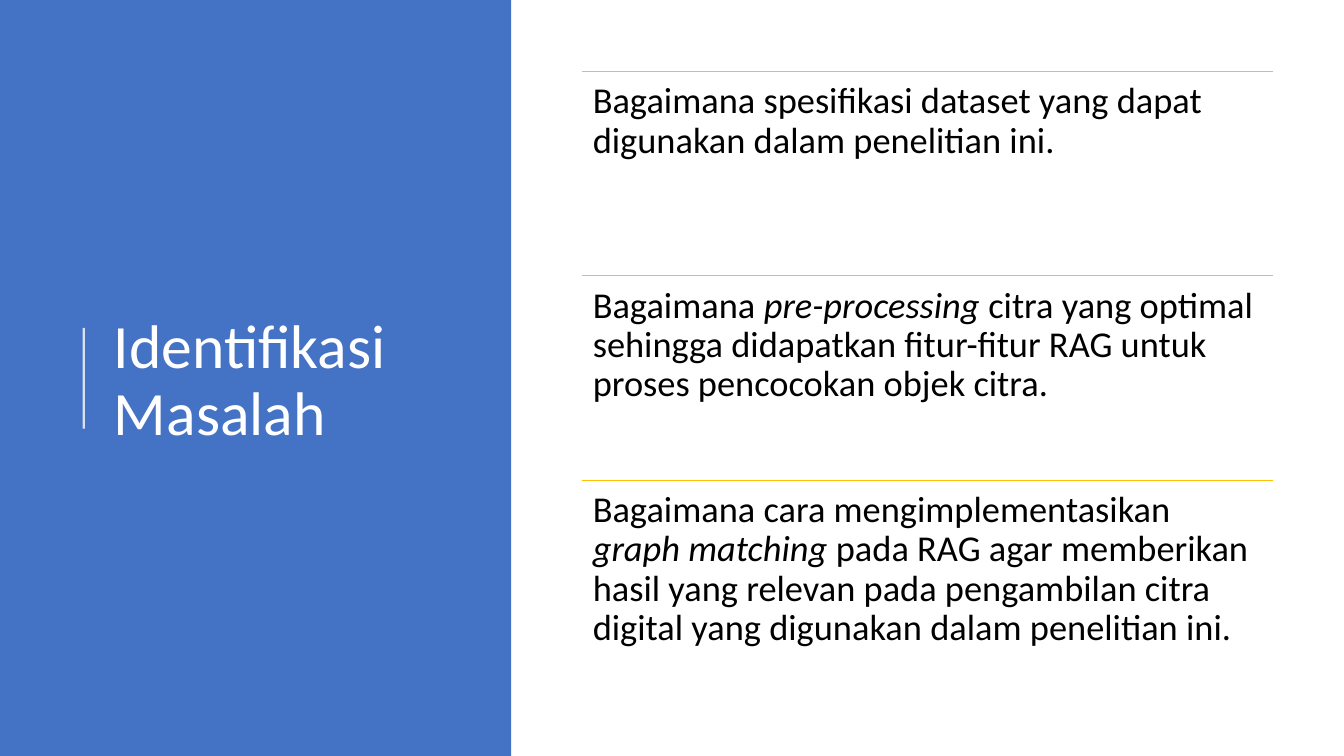
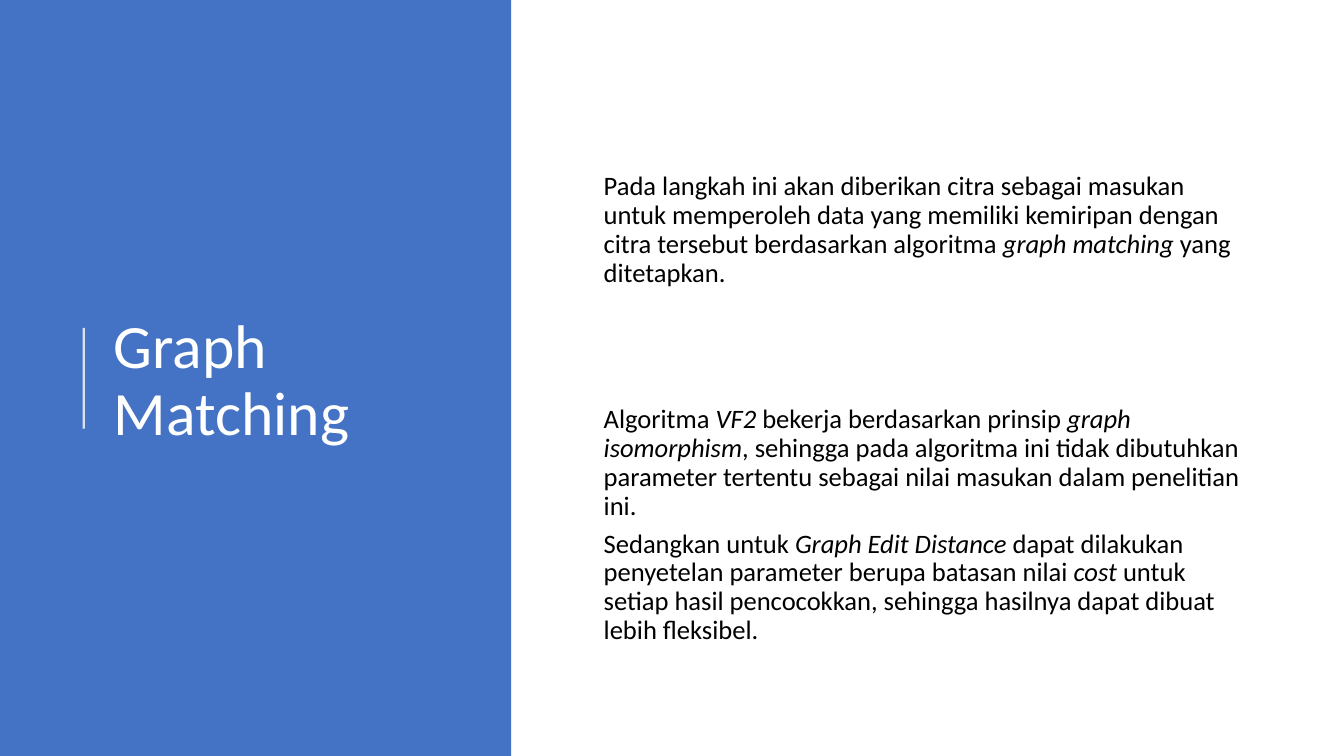
from dataclasses import dataclass

from lxml import etree
from pptx import Presentation
from pptx.dml.color import RGBColor
from pptx.enum.shapes import MSO_CONNECTOR, MSO_SHAPE
from pptx.enum.text import MSO_ANCHOR, PP_ALIGN
from pptx.oxml.ns import qn
from pptx.util import Cm, Pt

STRAIGHT = MSO_CONNECTOR.STRAIGHT
RECT, ROUND_RECT = MSO_SHAPE.RECTANGLE, MSO_SHAPE.ROUNDED_RECTANGLE
TOP, MIDDLE = MSO_ANCHOR.TOP, MSO_ANCHOR.MIDDLE
LEFT = PP_ALIGN.LEFT


@dataclass(frozen=True)
class Theme:
    font: str = "Calibri"
    panel: RGBColor = RGBColor(0x44, 0x72, 0xC4)
    white: RGBColor = RGBColor(0xFF, 0xFF, 0xFF)
    text: RGBColor = RGBColor(0, 0, 0)
    rule: RGBColor = RGBColor(0xFF, 0xC0, 0)
    title_size: int = 44
    question_size: int = 26
    card_size: int = 19


THEME = Theme()

SLIDE_W, SLIDE_H = 33.87, 19.05
PANEL_W = 12.88
BODY_X, BODY_W = 14.66, 17.42
QUESTION_Y, QUESTION_H = 1.8, 5.15
CARD_Y, CARD_H, CARD_GAP = 2.16, 7.29, 0.15

QUESTIONS = [
    "Bagaimana spesifikasi dataset yang dapat digunakan dalam penelitian ini.",
    "Bagaimana *pre-processing *citra yang optimal sehingga didapatkan "
    "fitur-fitur RAG untuk proses pencocokan objek citra.",
    "Bagaimana cara mengimplementasikan *graph matching* pada RAG agar "
    "memberikan hasil yang relevan pada pengambilan citra digital yang "
    "digunakan dalam penelitian ini.",
]
CARDS = [
    ["Pada langkah ini akan diberikan citra sebagai masukan untuk memperoleh "
     "data yang memiliki kemiripan dengan citra tersebut berdasarkan algoritma "
     "*graph matching* yang ditetapkan."],
    ["Algoritma *VF2* bekerja berdasarkan prinsip *graph isomorphism*, sehingga "
     "pada algoritma ini tidak dibutuhkan parameter tertentu sebagai nilai "
     "masukan dalam penelitian ini.",
     "Sedangkan untuk *Graph Edit Distance *dapat dilakukan penyetelan parameter "
     "berupa batasan nilai *cost *untuk setiap hasil pencocokkan, sehingga "
     "hasilnya dapat dibuat lebih fleksibel."],
]


def write(sp, paragraphs, size, color, anchor, inset=None):
    """Fill a shape with left-aligned paragraphs; *asterisks* mark italics."""
    tf = sp.text_frame
    tf.word_wrap = True
    tf.vertical_anchor = anchor
    if inset is not None:
        tf.margin_left = tf.margin_right = Cm(inset)
        tf.margin_top = tf.margin_bottom = Cm(inset)
    for i, text in enumerate(paragraphs):
        p = tf.add_paragraph() if i else tf.paragraphs[0]
        p.alignment = LEFT
        p.line_spacing = 0.9
        if i < len(paragraphs) - 1:
            p.space_after = Pt(round(size * 0.35, 1))
        for j, part in enumerate(text.split("*")):
            r = p.add_run()
            r.text = part
            r.font.name = THEME.font
            r.font.size = Pt(size)
            r.font.color.rgb = color
            r.font.italic = j % 2 == 1


def add_line(s, x1, y1, x2, y2, color, width):
    line = s.shapes.add_connector(STRAIGHT, Cm(x1), Cm(y1), Cm(x2), Cm(y2))
    line.line.color.rgb = color
    line.line.width = Pt(width)
    etree.SubElement(line._element.spPr, qn("a:effectLst"))
    return line


prs = Presentation()
prs.slide_width, prs.slide_height = Cm(SLIDE_W), Cm(SLIDE_H)
blank = prs.slide_layouts[6]

# Shared left panel with accent line and title
slides = []
for title in ("Identifikasi Masalah", "Graph Matching"):
    s = prs.slides.add_slide(blank)
    panel = s.shapes.add_shape(RECT, 0, 0, Cm(PANEL_W), Cm(SLIDE_H))
    panel.shadow.inherit = False
    panel.fill.solid()
    panel.fill.fore_color.rgb = THEME.panel
    panel.line.fill.background()

    accent = add_line(s, 2.11, 10.8, 2.11, 8.26, THEME.white, 1.5)
    rgb = accent._element.spPr.find(".//" + qn("a:srgbClr"))
    etree.SubElement(rgb, qn("a:alpha"), val="80000")

    box = s.shapes.add_textbox(Cm(2.62), Cm(1.98), Cm(9.37), Cm(15.29))
    write(box, [title], THEME.title_size, THEME.white, MIDDLE)
    slides.append(s)

problem_slide, matching_slide = slides

# Questions, each under a thin rule
for i, question in enumerate(QUESTIONS):
    y = QUESTION_Y + i * QUESTION_H
    add_line(problem_slide, BODY_X, y, BODY_X + BODY_W, y, THEME.rule, 0.5)
    box = problem_slide.shapes.add_textbox(
        Cm(BODY_X), Cm(y), Cm(BODY_W), Cm(QUESTION_H))
    write(box, [question], THEME.question_size, THEME.text, TOP, 0.28)

# Explanation cards
for i, paragraphs in enumerate(CARDS):
    y = CARD_Y + i * (CARD_H + CARD_GAP)
    card = matching_slide.shapes.add_shape(
        ROUND_RECT, Cm(BODY_X), Cm(y), Cm(BODY_W), Cm(CARD_H))
    card.shadow.inherit = False
    card.fill.solid()
    card.fill.fore_color.rgb = THEME.white
    card.line.fill.background()
    write(card, paragraphs, THEME.card_size, THEME.text, MIDDLE, 0.2)

prs.save("out.pptx")
